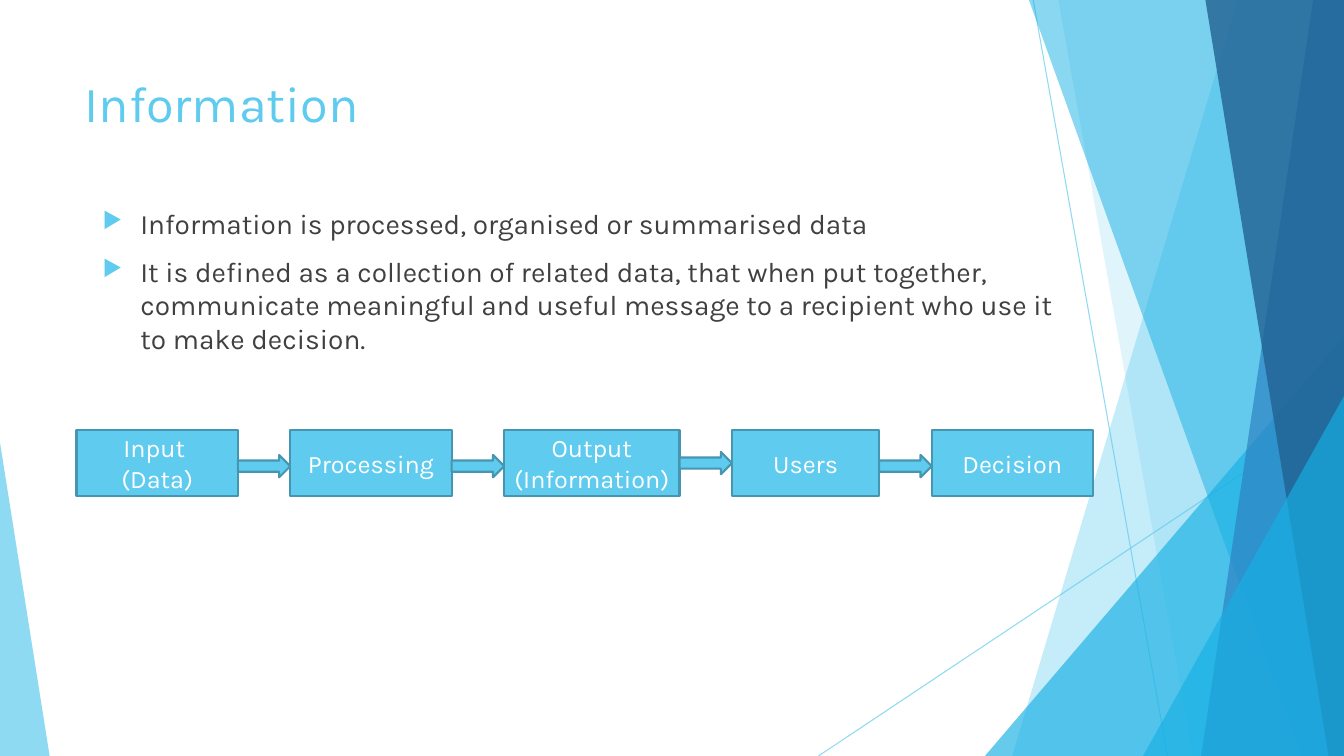
from lxml import etree
from pptx import Presentation
from pptx import util as u
from pptx.dml import color as dml
from pptx.enum import shapes, text
from pptx.oxml import ns

SKY, AZURE, BLUE, NAVY = "5FCBEF", "17B0E4", "2E83C3", "226292"
EDGE, INK, WHITE = "4696B1", "404040", "FFFFFF"
FONT = "Karla"
WIDTH, HEIGHT = 960, 540

BULLETS = [
    "Information is processed, organised or summarised data",
    "It is defined as a collection of related data, that when put together, "
    "communicate meaningful and useful message to a recipient who use it "
    "to make decision.",
]
STEPS = [
    ("Input \n(Data)", 115.2, 325),
    ("Processing", 115.2, 325),
    ("Output\n(Information)", 125.3, 322.8),
    ("Users", 105.1, 325),
    ("Decision", 115.2, None),
]


def paint(color_format, color, opacity=100):
    """Give a colour format a hex colour and an opacity in percent."""
    color_format.rgb = dml.RGBColor.from_string(color)
    if opacity < 100:
        for node in color_format._xFill.iter(ns.qn("a:srgbClr")):
            etree.SubElement(node, ns.qn("a:alpha"), val=str(opacity * 1000))


def style(shape, fill, opacity=100, edge=None):
    """Fill a shape, remove its shadow and set or hide its outline."""
    shape.shadow.inherit = False
    shape.fill.solid()
    paint(shape.fill.fore_color, fill, opacity)
    if edge:
        shape.line.width = u.Pt(1.5)
        paint(shape.line.color, edge)
    else:
        shape.line.fill.background()


def write(para, size, color):
    """Set the font of a paragraph's runs."""
    for span in para.runs:
        span.font.name = FONT
        span.font.size = u.Pt(size)
        paint(span.font.color, color)


def add_preset(page, kind, box, fill, opacity=100, edge=None):
    """Add a styled preset shape in the given box."""
    shape = page.shapes.add_shape(kind, *map(u.Pt, box))
    style(shape, fill, opacity, edge)
    return shape


def add_ray(page, start, end):
    """Add a thin translucent line."""
    ray = page.shapes.add_connector(
        shapes.MSO_CONNECTOR.STRAIGHT, *map(u.Pt, start + end))
    ray.line.width = u.Pt(0.75)
    paint(ray.line.color, SKY, 70)
    etree.SubElement(ray._element.spPr, ns.qn("a:effectLst"))


def add_band(page, top_x, bottom_x, fill, opacity):
    """Add a band from a slanted left side to the right edge of the slide."""
    corners = [(WIDTH, 0), (WIDTH, HEIGHT), (bottom_x, HEIGHT)]
    builder = page.shapes.build_freeform(u.Pt(top_x), 0)
    builder.add_line_segments([(u.Pt(x), u.Pt(y)) for x, y in corners])
    style(builder.convert_to_shape(), fill, opacity)


def add_wedge(page, box, apex, fill, opacity):
    """Add a triangle standing on the bottom edge."""
    wedge = add_preset(page, shapes.MSO_SHAPE.ISOSCELES_TRIANGLE,
                       box, fill, opacity)
    wedge.adjustments[0] = apex


def add_backdrop(page):
    """Add the faceted decoration from back to front."""
    add_ray(page, (738, 0), (834, HEIGHT))
    add_ray(page, (WIDTH, 290), (584.6, HEIGHT))
    add_band(page, 884, 723, SKY, 36)
    add_band(page, 756, 852, SKY, 20)
    add_wedge(page, (703.5, 240, 256.5, 300), 1, AZURE, 66)
    add_band(page, 735, 929.5, AZURE, 50)
    add_band(page, 938, 858, BLUE, 70)
    add_band(page, 861, 949, NAVY, 80)
    add_wedge(page, (816.5, 283, 143.5, 257), 1, AZURE, 66)
    add_wedge(page, (0, 316, 35.5, 224), 0, SKY, 70)


def add_textbox(page, box, content):
    """Add a wrapping text box and return its frame."""
    frame = page.shapes.add_textbox(*map(u.Pt, box)).text_frame
    frame.word_wrap = True
    frame.text = content
    return frame


def add_title(page, box):
    """Add the slide title."""
    write(add_textbox(page, box, "Information").paragraphs[0], 36, SKY)


def add_bullets(page, box):
    """Add the bulleted definition."""
    frame = add_textbox(page, box, "\n".join(BULLETS))
    for index, para in enumerate(frame.paragraphs):
        props = para._p.get_or_add_pPr()
        props.set("marL", str(u.Pt(27)))
        props.set("indent", str(u.Pt(-27)))
        tint = etree.SubElement(props, ns.qn("a:buClr"))
        etree.SubElement(tint, ns.qn("a:srgbClr"), val=SKY)
        etree.SubElement(props, ns.qn("a:buSzPct"), val="80000")
        etree.SubElement(props, ns.qn("a:buChar"), char="▶")
        if index:
            para.space_before = u.Pt(10)
        write(para, 20, INK)


def add_flow(page, left, top, height, gap):
    """Add the chain of steps joined by arrows."""
    for label, width, arrow_top in STEPS:
        step = add_preset(page, shapes.MSO_SHAPE.RECTANGLE,
                          (left, top, width, height), SKY, edge=EDGE)
        frame = step.text_frame
        frame.word_wrap = True
        frame.margin_left = frame.margin_right = u.Pt(4)
        frame.vertical_anchor = text.MSO_ANCHOR.MIDDLE
        frame.text = label
        for para in frame.paragraphs:
            para.alignment = text.PP_ALIGN.CENTER
            write(para, 18, WHITE)
        left += width
        if arrow_top:
            add_preset(page, shapes.MSO_SHAPE.RIGHT_ARROW,
                       (left, arrow_top, gap, 16), SKY, edge=EDGE)
        left += gap


def main():
    """Build and save the slide."""
    deck = Presentation()
    deck.slide_width, deck.slide_height = u.Pt(WIDTH), u.Pt(HEIGHT)
    page = deck.slides.add_slide(deck.slide_layouts[6])
    add_backdrop(page)
    add_title(page, (53.3, 48, 677, 104))
    add_bullets(page, (66.2, 144, 704, 137.5))
    add_flow(page, left=54.7, top=307, height=47.5, gap=37.5)
    deck.save("out.pptx")


if __name__ == "__main__":
    main()
